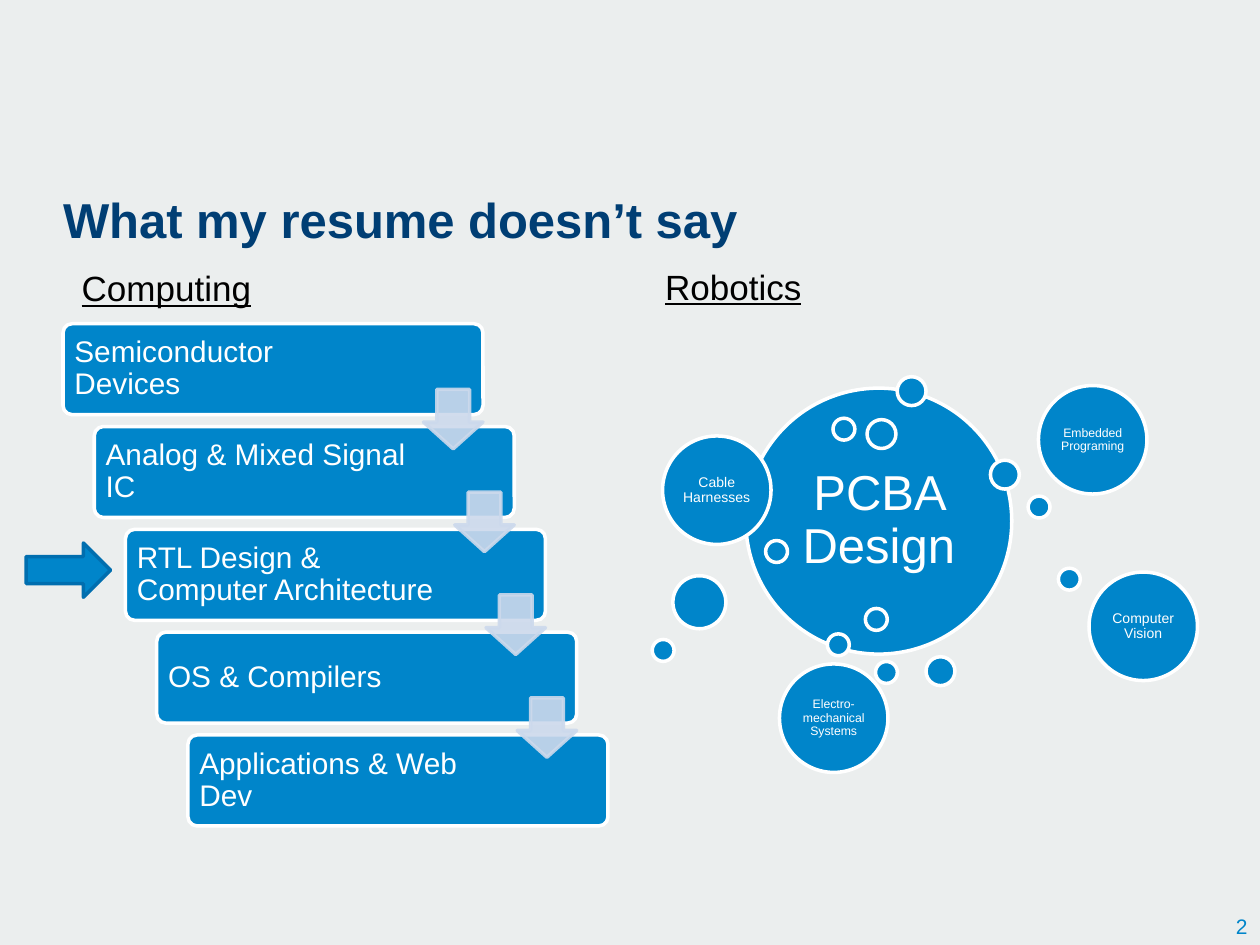
import lxml.etree
import pptx
import pptx.dml.color
import pptx.enum.shapes
import pptx.enum.text
import pptx.oxml.ns
import pptx.util

Pt = pptx.util.Pt
SHAPE = pptx.enum.shapes.MSO_SHAPE
ALIGN = pptx.enum.text.PP_ALIGN
ANCHOR = pptx.enum.text.MSO_ANCHOR

COLORS = {
    "page": "EBEEEE",
    "title": "003E74",
    "blue": "0085CA",
    "edge": "006EAF",
    "arrow": "CCD9EC",
    "white": "FFFFFF",
    "black": "000000",
}

STAGES = [
    "Semiconductor Devices",
    "Analog & Mixed Signal IC",
    "RTL Design & Computer Architecture",
    "OS & Compilers",
    "Applications & Web Dev",
]
STAGE_LEFT, STAGE_TOP, STAGE_WIDTH, STAGE_HEIGHT = 36, 185, 240, 52
STEP_X, STEP_Y = 17.85, 58.75
ARROW_X, ARROW_Y, ARROW_SIZE = 206, 37.5, 34

# Bubbles, back to front: left, top, diameter, label, text size, margin
LARGE, MEDIUM, SMALL, TINY = 152, 62, 16.5, 12.5
BUBBLES = [
    (426.2, 221.8, LARGE, "PCBA Design", 28, 8.5),
    (512.7, 215.3, SMALL),
    (472.8, 362.2, TINY),
    (587.5, 283.5, TINY),
    (529.2, 375.3, SMALL),
    (476, 239, TINY),
    (437.5, 308.9, TINY),
    (378.6, 249.1, MEDIUM, "Cable Harnesses", 8, 2),
    (495.5, 239.8, SMALL),
    (384.5, 329, 30.3),
    (593.4, 220.3, MEDIUM, "Embedded Programing", 7, 2),
    (566, 263, SMALL),
    (372.7, 365.4, TINY),
    (494.5, 347.7, TINY),
    (622.3, 326.9, MEDIUM, "Computer Vision", 8, 2),
    (604.8, 324.7, TINY),
    (445.4, 379.4, MEDIUM, "Electro-mechanical Systems", 7, 2),
    (500.3, 378, TINY),
]


def rgb(name):
    return pptx.dml.color.RGBColor.from_string(COLORS[name])


def write(box, text, color, margins, font, align=ALIGN.LEFT,
          anchor=ANCHOR.MIDDLE, wrap=True, spacing=None):
    """Put one formatted paragraph in a box; margins run left, top, right, bottom."""
    frame = box.text_frame
    frame_format = {"word_wrap": wrap, "vertical_anchor": anchor}
    for side, value in zip(("left", "top", "right", "bottom"), margins):
        frame_format[f"margin_{side}"] = Pt(value)
    for name, value in frame_format.items():
        setattr(frame, name, value)
    para = frame.paragraphs[0]
    para.alignment = align
    if spacing:
        para.line_spacing = spacing
    span = para.add_run()
    span.text = text
    for name, value in {"name": "Arial", **font}.items():
        setattr(span.font, name, value)
    span.font.color.rgb = rgb(color)


def add_solid(page, kind, left, top, width, height, fill="blue", line="white",
              adjustments=(), opacity=None):
    solid = page.shapes.add_shape(kind, Pt(left), Pt(top), Pt(width), Pt(height))
    solid.shadow.inherit = False
    solid.fill.solid()
    solid.fill.fore_color.rgb = rgb(fill)
    solid.line.color.rgb = rgb(line)
    solid.line.width = Pt(2)
    for index, value in enumerate(adjustments):
        solid.adjustments[index] = value
    if opacity:
        for color in solid.element.spPr.iter(pptx.oxml.ns.qn("a:srgbClr")):
            alpha = lxml.etree.SubElement(color, pptx.oxml.ns.qn("a:alpha"))
            alpha.set("val", str(opacity * 1000))
    return solid


def add_text(page, left, top, width, height, text, color, font, **layout):
    box = page.shapes.add_textbox(Pt(left), Pt(top), Pt(width), Pt(height))
    write(box, text, color, (7.2, 3.6, 7.2, 3.6), font, anchor=ANCHOR.TOP, **layout)


def add_title(page, text):
    title = page.shapes.title
    place = {"left": 36, "top": 103, "width": 648, "height": 40.3}
    for name, value in place.items():
        setattr(title, name, Pt(value))
    write(title, text, "title", (0, 3.6, 0, 0), {"size": Pt(28), "bold": True})


def add_staircase(page):
    corners = [(STAGE_LEFT + i * STEP_X, STAGE_TOP + i * STEP_Y)
               for i in range(len(STAGES))]
    for (left, top), label in zip(corners, STAGES):
        stage = add_solid(page, SHAPE.ROUNDED_RECTANGLE, left, top,
                          STAGE_WIDTH, STAGE_HEIGHT, adjustments=[0.1])
        write(stage, label, "white", (5, 5, 58, 5), {"size": Pt(17)}, spacing=0.9)
    for left, top in corners[:-1]:
        add_solid(page, SHAPE.DOWN_ARROW, left + ARROW_X, top + ARROW_Y,
                  ARROW_SIZE, ARROW_SIZE, "arrow", "arrow", [0.55, 0.45], 90)


def add_bubbles(page):
    for left, top, size, *label in BUBBLES:
        bubble = add_solid(page, SHAPE.OVAL, left, top, size, size)
        if label:
            text, text_size, margin = label
            write(bubble, text, "white", [margin] * 4, {"size": Pt(text_size)},
                  align=ALIGN.CENTER, spacing=0.9)


def main():
    deck = pptx.Presentation()
    deck.slide_width, deck.slide_height = Pt(720), Pt(540)
    page = deck.slides.add_slide(deck.slide_layouts[5])
    page.background.fill.solid()
    page.background.fill.fore_color.rgb = rgb("page")

    # Title and page number
    add_title(page, "What my resume doesn’t say")
    add_text(page, 690.5, 518.4, 29.5, 21.6, "2", "blue", {"size": Pt(12)},
             align=ALIGN.RIGHT, wrap=False)

    # Computing on the left, Robotics on the right
    add_staircase(page)
    add_bubbles(page)
    for left, top, heading in [(39.6, 149, "Computing"), (373, 148, "Robotics")]:
        add_text(page, left, top, 204, 31.5, heading, "black",
                 {"size": Pt(20), "underline": True})

    # Marker for the current stage
    add_solid(page, SHAPE.RIGHT_ARROW, 15, 310.3, 48.2, 31, line="edge")

    deck.save("out.pptx")


if __name__ == "__main__":
    main()
